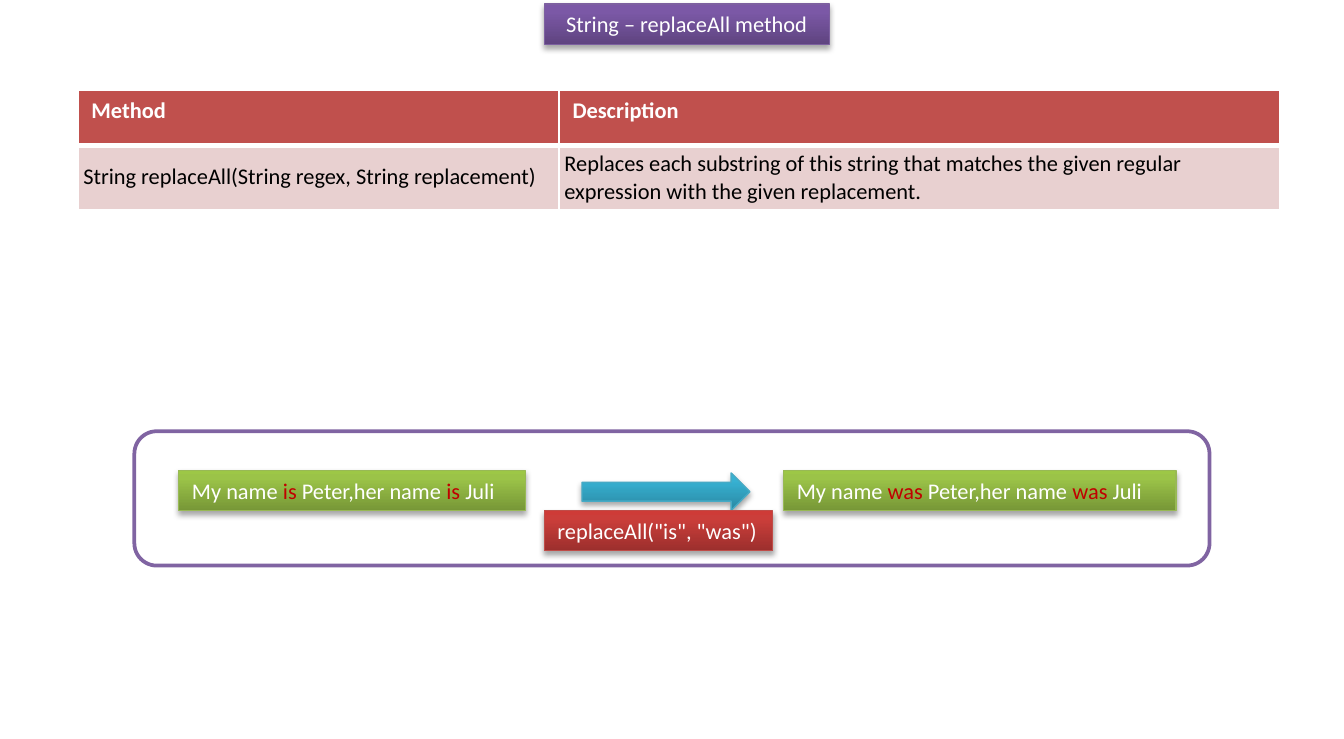
from copy import deepcopy
from dataclasses import dataclass

from lxml.etree import SubElement
from pptx import Presentation
from pptx.dml.color import RGBColor
from pptx.enum.shapes import MSO_SHAPE
from pptx.enum.text import MSO_ANCHOR, MSO_AUTO_SIZE, PP_ALIGN
from pptx.oxml.ns import qn
from pptx.util import Inches, Pt


@dataclass(frozen=True)
class Theme:
    font: str = "Calibri"
    text_size: int = 12
    white: str = "FFFFFF"
    black: str = "000000"
    highlight: str = "C00000"
    frame: str = "8064A2"
    header: str = "C0504D"
    body: str = "E8D0D0"
    # Each palette: gradient from bottom to top, then the outline
    purple: tuple = ("5F4480", "7B58A6", "7C57A8", "7D60A0")
    green: tuple = ("779737", "9BC348", "9DC746", "98B955")
    blue: tuple = ("2A88A2", "37B1D2", "34B4D6", "46AAC5")
    red: tuple = ("9C2F2D", "CB3E3A", "CE3B37", "BF4C48")


def apply_format(target, values):
    for attribute, value in values.items():
        setattr(target, attribute, value)


class SlideBuilder:
    def __init__(self, slide, theme):
        self.slide = slide
        self.theme = theme

    def add_runs(self, paragraph, runs, bold=False):
        for text, color in runs:
            run = paragraph.add_run()
            run.text = text
            apply_format(run.font, {"name": self.theme.font, "bold": bold,
                                    "size": Pt(self.theme.text_size)})
            run.font.color.rgb = RGBColor.from_string(color)

    def outlined(self, kind, box, color, width):
        shape = self.slide.shapes.add_shape(kind, *map(Inches, box))
        shape.shadow.inherit = False
        shape.line.color.rgb = RGBColor.from_string(color)
        shape.line.width = Pt(width)
        return shape

    def frame(self, box):
        frame = self.outlined(MSO_SHAPE.ROUNDED_RECTANGLE, box, self.theme.frame, 2)
        frame.fill.solid()
        frame.fill.fore_color.rgb = RGBColor.from_string(self.theme.white)

    def glossy(self, kind, box, palette):
        *colors, outline = palette
        shape = self.outlined(kind, box, outline, 0.75)
        properties = shape._element.spPr

        # Three-stop gradient
        shape.fill.gradient()
        shape.fill.gradient_angle = 90
        stops = properties.find(qn("a:gradFill")).find(qn("a:gsLst"))
        stops.append(deepcopy(stops[-1]))
        for stop, position, color in zip(shape.fill.gradient_stops, (0, 0.8, 1), colors):
            stop.position = position
            stop.color.rgb = RGBColor.from_string(color)

        # Soft shadow below
        shadow = SubElement(properties.find(qn("a:effectLst")), qn("a:outerShdw"),
                            blurRad=str(Pt(3.1)), dist=str(Pt(1.8)),
                            dir="5400000", rotWithShape="0")
        tint = SubElement(shadow, qn("a:srgbClr"), val=self.theme.black)
        SubElement(tint, qn("a:alpha"), val="35000")
        return shape

    def label(self, box, palette, runs, align=PP_ALIGN.LEFT, wrap=True):
        frame = self.glossy(MSO_SHAPE.RECTANGLE, box, palette).text_frame
        apply_format(frame, {"word_wrap": wrap, "vertical_anchor": MSO_ANCHOR.TOP,
                             "auto_size": MSO_AUTO_SIZE.SHAPE_TO_FIT_TEXT})
        frame.paragraphs[0].alignment = align
        self.add_runs(frame.paragraphs[0], runs)

    def arrow(self, box, palette):
        self.glossy(MSO_SHAPE.RIGHT_ARROW, box, palette)

    def borders(self, cell, widths):
        properties = cell._tc.get_or_add_tcPr()
        for index, (side, width) in enumerate(widths.items()):
            line = SubElement(properties, qn(f"a:ln{side}"), w=str(Pt(width)))
            fill = SubElement(line, qn("a:solidFill"))
            SubElement(fill, qn("a:srgbClr"), val=self.theme.white)
            properties.insert(index, line)

    def table(self, left, top, column_widths, row_height, rows):
        theme = self.theme
        table = self.slide.shapes.add_table(
            len(rows), len(column_widths), Inches(left), Inches(top),
            Inches(sum(column_widths)), Inches(row_height * len(rows))).table
        for column, width in zip(table.columns, column_widths):
            column.width = Inches(width)
        inset = Inches(0.04)
        body_format = {"vertical_anchor": MSO_ANCHOR.MIDDLE,
                       "margin_left": inset, "margin_right": inset,
                       "margin_top": inset, "margin_bottom": inset}
        for row_index, texts in enumerate(rows):
            is_header = row_index == 0
            table.rows[row_index].height = Inches(row_height)
            for column_index, text in enumerate(texts):
                cell = table.cell(row_index, column_index)
                cell.fill.solid()
                cell.fill.fore_color.rgb = RGBColor.from_string(
                    theme.header if is_header else theme.body)
                apply_format(cell, {} if is_header else body_format)
                self.add_runs(cell.text_frame.paragraphs[0],
                              [(text, theme.white if is_header else theme.black)],
                              bold=is_header)
                self.borders(cell, {"L": 1, "R": 1, "T": 1 if is_header else 3,
                                    "B": 3 if is_header else 1})


def main():
    presentation = Presentation()
    presentation.slide_width = Inches(10)
    presentation.slide_height = Inches(5.5)
    theme = Theme()
    builder = SlideBuilder(
        presentation.slides.add_slide(presentation.slide_layouts[6]), theme)
    white, highlight = theme.white, theme.highlight

    # Example frame
    builder.frame((1, 3.21, 8, 1))

    # Title
    builder.label((4.05, 0.03, 2.12, 0.3), theme.purple,
                  [("String – replaceAll method", white)], align=PP_ALIGN.CENTER)

    # Method table
    builder.table(0.58, 0.67, (3.58, 5.36), 0.41, [
        ("Method", "Description"),
        ("String replaceAll(String regex, String replacement)",
         "Replaces each substring of this string that matches the given regular "
         "expression with the given replacement."),
    ])

    # Sentence before and after the call
    for left, width, verb in ((1.33, 2.58, "is"), (5.83, 2.92, "was")):
        builder.label((left, 3.5, width, 0.3), theme.green, [
            ("My name ", white), (verb, highlight), (" Peter,her name ", white),
            (verb, highlight), (" Juli", white)])

    # Replacement step
    builder.arrow((4.33, 3.52, 1.25, 0.28), theme.blue)
    builder.label((4.05, 3.8, 1.7, 0.3), theme.red,
                  [('replaceAll("is", "was")', white)], wrap=False)

    presentation.save("out.pptx")


if __name__ == "__main__":
    main()
